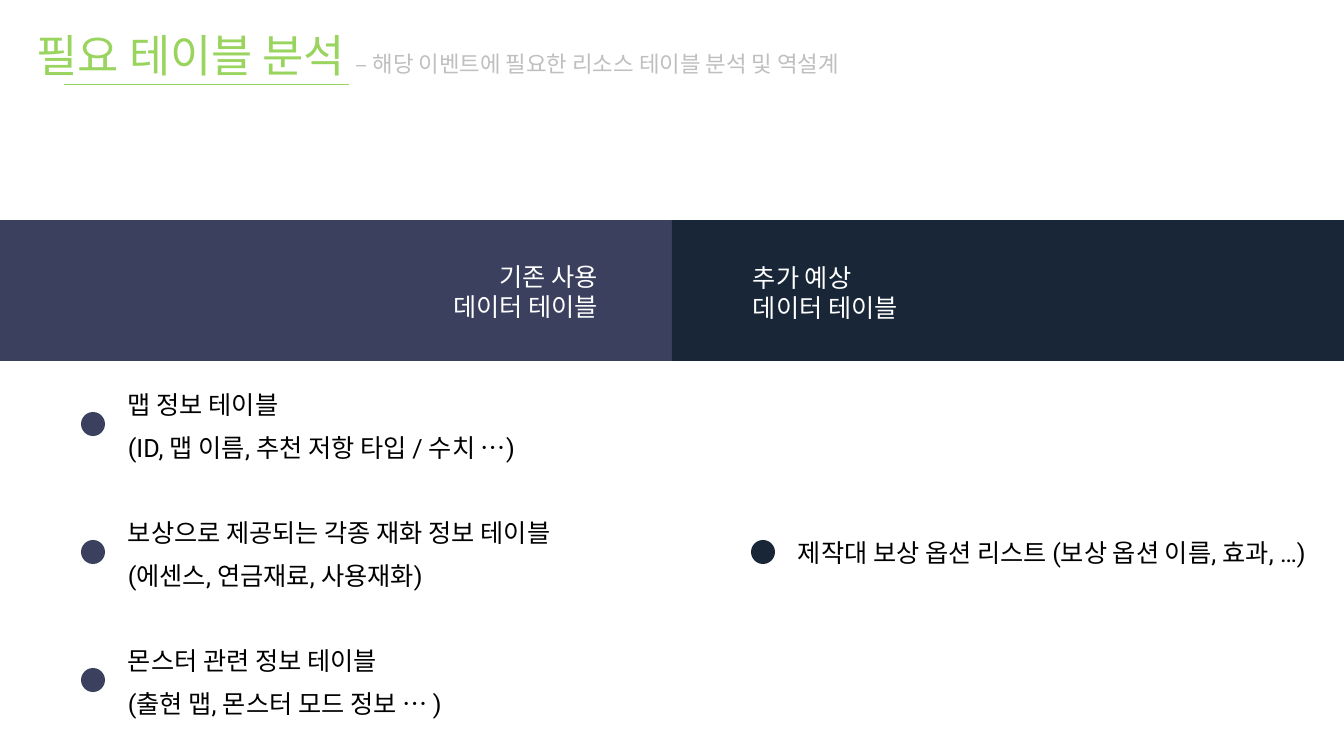
import pptx
import pptx.dml.color
import pptx.enum.shapes
import pptx.enum.text
import pptx.oxml.xmlchemy
import pptx.util
import lxml.etree
import pptx.oxml.ns

RGBColor = pptx.dml.color.RGBColor
Shape = pptx.enum.shapes.MSO_SHAPE
Align = pptx.enum.text.PP_ALIGN
Anchor = pptx.enum.text.MSO_ANCHOR

WHITE = RGBColor(0xFF, 0xFF, 0xFF)
BLACK = RGBColor(0x00, 0x00, 0x00)
GREEN = RGBColor(0x99, 0xD4, 0x5E)
GRAY = RGBColor(0xBF, 0xBF, 0xBF)
PURPLE = RGBColor(0x3B, 0x40, 0x5F)
NAVY = RGBColor(0x18, 0x26, 0x38)


def px(*lengths):
    return [pptx.util.Emu(round(length * 914400 / 100.8)) for length in lengths]


class SlideBuilder:
    font = "Roboto"
    body_size = 18

    def __init__(self, slide):
        self.slide = slide

    def shape(self, kind, box, color):
        shape = self.slide.shapes.add_shape(kind, *px(*box))
        shape.shadow.inherit = False
        shape.fill.solid()
        shape.fill.fore_color.rgb = color
        shape.line.fill.background()
        return shape

    def underline(self, left, right, top, color):
        line = self.slide.shapes.add_connector(
            pptx.enum.shapes.MSO_CONNECTOR.STRAIGHT, *px(left, top, right, top))
        line.line.color.rgb = color
        line.line.width = pptx.util.Pt(0.5)
        properties = line._element.spPr
        lxml.etree.SubElement(properties, pptx.oxml.ns.qn("a:effectLst"))

    def run(self, paragraph, text, size, color):
        run = paragraph.add_run()
        run.text = text
        run.font.name = self.font
        run.font.size = pptx.util.Pt(size)
        run.font.color.rgb = color

    def title(self, box, runs):
        frame = self.shape(Shape.RECTANGLE, box, WHITE).text_frame
        frame.word_wrap = True
        frame.vertical_anchor = Anchor.MIDDLE
        paragraph = frame.paragraphs[0]
        paragraph.alignment = Align.CENTER
        for text, size, color in runs:
            self.run(paragraph, text, size, color)

    def text(self, box, lines, color, anchor=Anchor.TOP, align=Align.LEFT,
             spacing=None, after=None):
        frame = self.slide.shapes.add_textbox(*px(*box)).text_frame
        frame.word_wrap = True
        frame.vertical_anchor = anchor
        for index, line in enumerate(lines):
            paragraph = frame.add_paragraph() if index else frame.paragraphs[0]
            paragraph.alignment = align
            paragraph.line_spacing = spacing
            paragraph.space_after = after
            self.run(paragraph, line, self.body_size, color)

    def bullet_item(self, left, dot_top, text_top, color, lines):
        self.shape(Shape.OVAL, (left, dot_top, 24, 24), color)
        self.text((left + 37, text_top, 554, 82), lines, BLACK, Anchor.MIDDLE,
                  spacing=1.07, after=pptx.util.Pt(8))


def main():
    presentation = pptx.Presentation()
    presentation.slide_width, presentation.slide_height = px(1344, 756)
    builder = SlideBuilder(presentation.slides.add_slide(presentation.slide_layouts[6]))

    builder.title((-31, 32, 943, 45), [
        ("필요 테이블 분석 ", 32, GREEN),
        ("– 해당 이벤트에 필요한 리소스 테이블 분석 및 역설계 ", 16, GRAY),
    ])
    builder.underline(64, 349, 84, GREEN)

    headings = [
        (0, 303, 256, PURPLE, Align.RIGHT, "기존 사용"),
        (672, 743, 257, NAVY, Align.LEFT, "추가 예상"),
    ]
    for left, text_left, text_top, color, align, name in headings:
        builder.shape(Shape.RECTANGLE, (left, 220, 672, 141), color)
        builder.text((text_left, text_top, 305, 72), [name, "데이터 테이블"],
                     WHITE, align=align)

    existing_tables = [
        ["맵 정보 테이블", "(ID, 맵 이름, 추천 저항 타입 / 수치 …)"],
        ["보상으로 제공되는 각종 재화 정보 테이블", "(에센스, 연금재료, 사용재화)"],
        ["몬스터 관련 정보 테이블", "(출현 맵, 몬스터 모드 정보 … )"],
    ]
    for row, lines in enumerate(existing_tables):
        builder.bullet_item(81, 412 + 128 * row, 384 + 128 * row, PURPLE, lines)
    builder.bullet_item(751, 540, 510, NAVY,
                        ["제작대 보상 옵션 리스트 (보상 옵션 이름, 효과, …)"])

    presentation.save("out.pptx")


if __name__ == "__main__":
    main()
